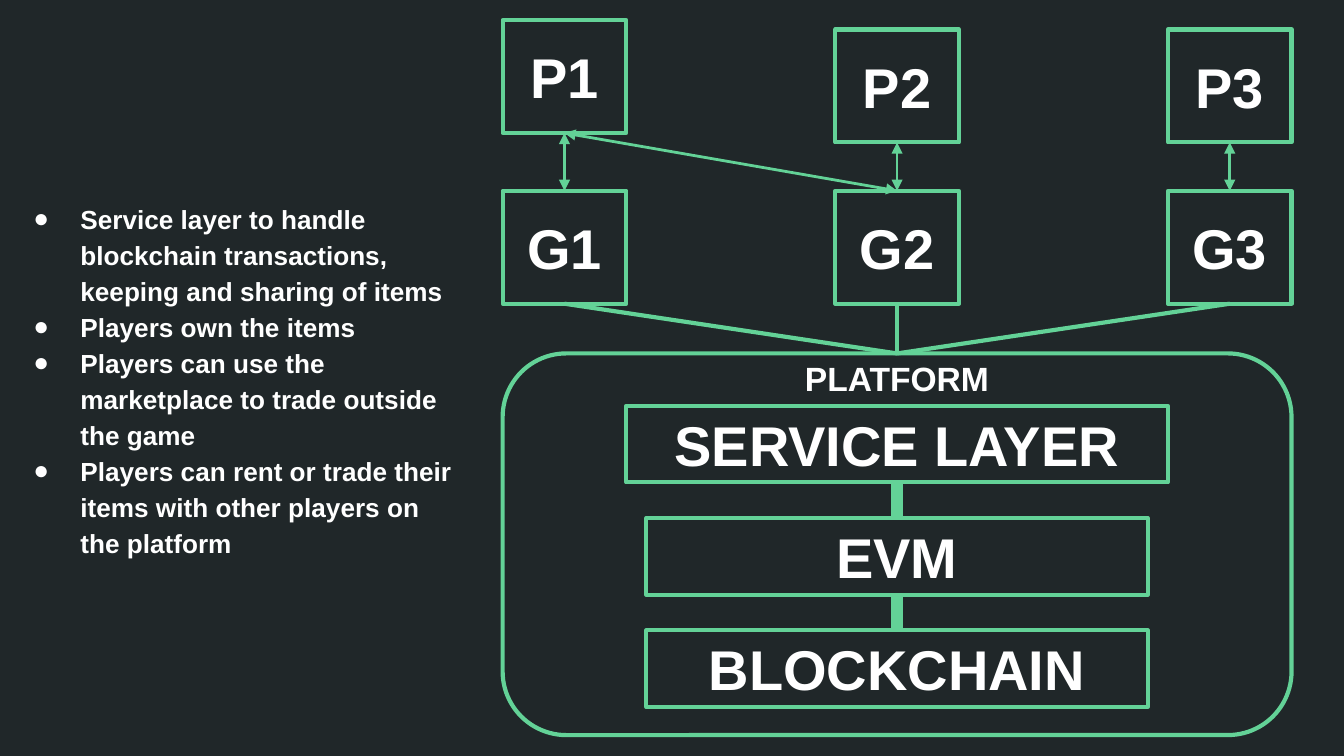
from lxml import etree
from pptx import Presentation
from pptx.dml.color import RGBColor
from pptx.enum.shapes import MSO_CONNECTOR, MSO_SHAPE
from pptx.enum.text import MSO_ANCHOR, PP_ALIGN
from pptx.oxml.ns import qn
from pptx.util import Inches, Pt

RECT, ROUNDED = MSO_SHAPE.RECTANGLE, MSO_SHAPE.ROUNDED_RECTANGLE
STRAIGHT, MIDDLE = MSO_CONNECTOR.STRAIGHT, MSO_ANCHOR.MIDDLE
LEFT, CENTER = PP_ALIGN.LEFT, PP_ALIGN.CENTER
TOP, BOTTOM = 0, 2

DARK = RGBColor(0x20, 0x27, 0x29)
GREEN = RGBColor(0x63, 0xD2, 0x97)
WHITE = RGBColor(0xFF, 0xFF, 0xFF)
FONT = "Arial"

SLIDE_W = 10
SLIDE_H = SLIDE_W * 9 / 16
GRID_LEFT, GRID_WIDTH = 3.74, 5.87
GRID_CENTER = GRID_LEFT + GRID_WIDTH / 2
BOX_W, BOX_H = 0.92, 0.84
COL_STEP = (GRID_WIDTH - BOX_W) / 2
GAME_TOP = 1.42
PLAYER_TOPS = [0.15, 0.22, 0.22]
LAYER_TOP, LAYER_H = 3.02, 0.57
LAYER_STEP = (4.69 - LAYER_TOP) / 2
LAYERS = [("SERVICE LAYER", 4.03), ("EVM", 3.73), ("BLOCKCHAIN", 3.73)]
POINTS = [
    "Service layer to handle blockchain transactions, keeping and sharing of items",
    "Players own the items",
    "Players can use the marketplace to trade outside the game",
    "Players can rent or trade their items with other players on the platform",
]


def write(sp, lines, size, align):
    """Write bold white paragraphs into a shape."""
    tf = sp.text_frame
    tf.text = "\n".join(lines)
    tf.word_wrap = True
    tf.vertical_anchor = MIDDLE
    tf.margin_left = tf.margin_right = tf.margin_top = tf.margin_bottom = Inches(0.1)
    for p in tf.paragraphs:
        p.alignment = align
        font = p.runs[0].font
        font.name, font.size, font.bold = FONT, Pt(size), True
        font.color.rgb = WHITE


def add_box(slide, x, y, w, h, text="", shape=RECT):
    """Add an outlined box with an optional label."""
    sp = slide.shapes.add_shape(shape, Inches(x), Inches(y), Inches(w), Inches(h))
    sp.shadow.inherit = False
    sp.fill.background()
    sp.line.color.rgb = GREEN
    sp.line.width = Pt(2.25)
    if text:
        write(sp, [text], 30, CENTER)
    return sp


def add_text(slide, x, y, w, h, lines, size, align):
    """Add a text box."""
    sp = slide.shapes.add_textbox(Inches(x), Inches(y), Inches(w), Inches(h))
    write(sp, lines, size, align)
    return sp


def add_bullets(sp):
    """Give each paragraph a hanging white bullet."""
    for p in sp.text_frame.paragraphs:
        p.line_spacing = 1.15
        pPr = p._p.get_or_add_pPr()
        pPr.set("marL", str(Inches(0.5)))
        pPr.set("indent", str(Inches(-0.35)))
        color = etree.SubElement(pPr, qn("a:buClr"))
        etree.SubElement(color, qn("a:srgbClr"), val=str(WHITE))
        etree.SubElement(pPr, qn("a:buFont"), typeface=FONT)
        etree.SubElement(pPr, qn("a:buChar"), char="●")


def join(slide, upper, lower, width, arrows=False):
    """Join the bottom of one box to the top of another."""
    line = slide.shapes.add_connector(STRAIGHT, 0, 0, 0, 0)
    line.begin_connect(upper, BOTTOM)
    line.end_connect(lower, TOP)
    line.line.color.rgb = GREEN
    line.line.width = Pt(width)
    if arrows:
        ln = line.line._get_or_add_ln()
        for end in ("a:headEnd", "a:tailEnd"):
            etree.SubElement(ln, qn(end), type="triangle")
    etree.SubElement(line._element.spPr, qn("a:effectLst"))


def add_platform(slide):
    """Draw the platform frame and its stacked layers."""
    platform = add_box(slide, GRID_LEFT, 2.63, GRID_WIDTH, 2.84, shape=ROUNDED)
    layers = [
        add_box(slide, GRID_CENTER - w / 2, LAYER_TOP + i * LAYER_STEP, w, LAYER_H, text)
        for i, (text, w) in enumerate(LAYERS)
    ]
    for upper, lower in zip(layers, layers[1:]):
        join(slide, upper, lower, 6)
    add_text(slide, GRID_CENTER - 1.18, 2.55, 2.36, 0.52, ["PLATFORM"], 18, CENTER)
    return platform


def add_network(slide, platform):
    """Draw players and games and link them to the platform."""
    players, games = [], []
    for i, top in enumerate(PLAYER_TOPS):
        x = GRID_LEFT + i * COL_STEP
        players.append(add_box(slide, x, top, BOX_W, BOX_H, f"P{i + 1}"))
        games.append(add_box(slide, x, GAME_TOP, BOX_W, BOX_H, f"G{i + 1}"))
    for game in games:
        join(slide, game, platform, 2.25)
    for player, game in [*zip(players, games), (players[0], games[1])]:
        join(slide, player, game, 1.5, arrows=True)


def main():
    """Build and save the slide."""
    prs = Presentation()
    prs.slide_width, prs.slide_height = Inches(SLIDE_W), Inches(SLIDE_H)
    slide = prs.slides.add_slide(prs.slide_layouts[6])
    slide.background.fill.solid()
    slide.background.fill.fore_color.rgb = DARK
    add_network(slide, add_platform(slide))
    add_bullets(add_text(slide, 0, 1.02, 3.5, 3.59, POINTS, 14, LEFT))
    prs.save("out.pptx")


if __name__ == "__main__":
    main()
